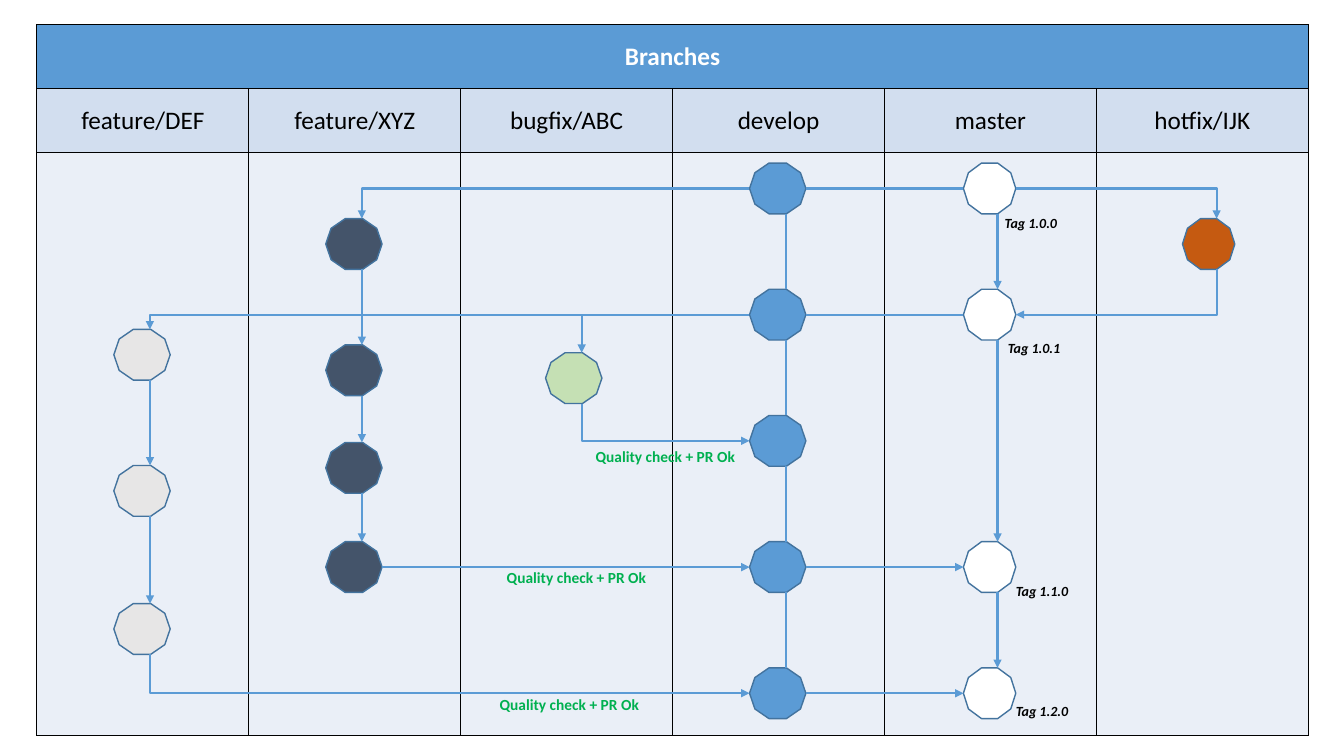
from dataclasses import dataclass
from itertools import pairwise
from typing import Any

from pptx import Presentation
from pptx.dml.color import RGBColor as Rgb
from pptx.enum.shapes import MSO_CONNECTOR as Conn, MSO_SHAPE as Form
from pptx.enum.text import MSO_ANCHOR as Anchor, MSO_AUTO_SIZE as Auto, PP_ALIGN as Align
from pptx.oxml import parse_xml
from pptx.oxml.ns import nsdecls, qn
from pptx.util import Cm, Pt

BLUE = "5B9BD5"
EDGE = "43739E"
COL = 5.34    # column width
TALL = 1.28   # node height
OFF = 0.2     # trunk line, right of the node centre
ROWS = [4.75 + 3.18 * i for i in range(5)]


@dataclass
class Branch:
    name: str
    color: str
    ys: list[float]
    wide: float = 1.42
    shift: float = 0
    arrow: bool = True
    x: float = 0

    @property
    def left(self) -> float:
        return self.x - self.wide / 2

    @property
    def right(self) -> float:
        return self.x + self.wide / 2

    @property
    def trunk(self) -> float:
        return self.x + OFF


@dataclass
class Link:
    x: float
    y: float
    to_x: float
    to_y: float
    head: str = "tailEnd"   # empty for a plain line
    kind: Any = Conn.STRAIGHT


@dataclass
class Label:
    text: str
    x: float
    y: float


QUALITY = {"size": Pt(11), "bold": True, "name": "Calibri"}
TAG = {"size": Pt(10), "bold": True, "italic": True, "name": "Calibri"}
HEAD = {"size": Pt(18), "bold": True, "name": "Calibri"}
NAME = {**HEAD, "bold": False}


def style(obj: Any, values: dict) -> None:
    for key, value in values.items():
        setattr(obj, key, value)


def paint(fill: Any, color: str) -> None:
    fill.solid()
    fill.fore_color.rgb = Rgb.from_string(color)


def write(frame: Any, text: str, font: dict, color: str, align: Any) -> None:
    para = frame.paragraphs[0]
    para.alignment = align
    run = para.add_run()
    run.text = text
    style(run.font, font)
    paint(run.font.fill, color)


def frame_cell(cell: Any, color: str) -> None:
    props = cell._tc.get_or_add_tcPr()
    for side in ("lnL", "lnR", "lnT", "lnB"):
        props.append(parse_xml(
            f'<a:{side} {nsdecls("a")} w="12700"><a:solidFill>'
            f'<a:srgbClr val="000000"/></a:solidFill></a:{side}>'))
    paint(cell.fill, color)
    cell.vertical_anchor = Anchor.MIDDLE


def draw_node(branch: Branch, y: float) -> None:
    node = shapes.add_shape(Form.DECAGON, Cm(branch.left), Cm(y - TALL / 2),
                            Cm(branch.wide), Cm(TALL))
    node.shadow.inherit = False
    paint(node.fill, branch.color)
    paint(node.line.fill, EDGE)
    node.line.width = Pt(1)


def draw_link(link: Link) -> None:
    line = shapes.add_connector(link.kind, Cm(link.x), Cm(link.y),
                                Cm(link.to_x), Cm(link.to_y))
    paint(line.line.fill, BLUE)
    line.line.width = Pt(1.5)
    props = line._element.spPr
    if link.kind == Conn.ELBOW:
        props.find(qn("a:prstGeom")).set("prst", "bentConnector2")
    if link.head:
        props.find(qn("a:ln")).append(
            parse_xml(f'<a:{link.head} {nsdecls("a")} type="triangle"/>'))
    props.append(parse_xml(f'<a:effectLst {nsdecls("a")}/>'))


def draw_label(label: Label, font: dict, color: str, wide: float, tall: float) -> None:
    box = shapes.add_textbox(Cm(label.x), Cm(label.y), Cm(wide), Cm(tall))
    style(box.text_frame, {"word_wrap": False, "auto_size": Auto.SHAPE_TO_FIT_TEXT})
    write(box.text_frame, label.text, font, color, Align.LEFT)


def leave(branch: Branch, y: float, to: Branch) -> Link:
    """Sideways from a node, then down to the first node of a branch."""
    start = branch.left if to.x < branch.x else branch.right
    return Link(start, y, to.trunk, to.ys[0] - TALL / 2, kind=Conn.ELBOW)


def rejoin(branch: Branch, to: Branch, y: float) -> Link:
    """Down from the last node of a branch, then sideways; drawn from its head."""
    end = to.left if branch.x < to.x else to.right
    return Link(end, y, branch.trunk, branch.ys[-1] + TALL / 2, "headEnd", Conn.ELBOW)


# Slide
deck = Presentation()
style(deck, {"slide_width": Cm(33.87), "slide_height": Cm(19.05)})
shapes = deck.slides.add_slide(deck.slide_layouts[6]).shapes

# Branches, left to right
side = Branch("feature/DEF", "E7E6E6", [8.94, 12.37, 15.85])
feat = Branch("feature/XYZ", "44546A", [6.15, 9.33, 11.79, ROWS[3]])
bug = Branch("bugfix/ABC", "C5E0B4", [9.53], shift=0.2)
dev = Branch("develop", BLUE, ROWS, arrow=False)
main = Branch("master", "FFFFFF", [ROWS[i] for i in (0, 1, 3, 4)], wide=1.32)
hot = Branch("hotfix/IJK", "C55A11", [6.15], wide=1.32, shift=0.18)
branches = [side, feat, bug, dev, main, hot]
for i, branch in enumerate(branches):
    branch.x = 3.58 + i * COL + branch.shift

# Table
table = shapes.add_table(3, len(branches), Cm(0.93), Cm(0.62),
                         Cm(COL * len(branches)), Cm(17.92)).table
style(table, {"first_row": False, "horz_banding": False})
for row, tall, color in zip(table.rows, (1.62, 1.6, 14.7), (BLUE, "D2DEEF", "EAEFF7")):
    row.height = Cm(tall)
    for cell in row.cells:
        frame_cell(cell, color)
for i, branch in enumerate(branches):
    table.columns[i].width = Cm(COL)
    write(table.cell(1, i).text_frame, branch.name, NAME, "000000", Align.CENTER)
table.cell(0, 0).merge(table.cell(0, len(branches) - 1))
write(table.cell(0, 0).text_frame, "Branches", HEAD, "FFFFFF", Align.CENTER)

# Nodes and the trunk of each branch
for branch in branches:
    for y in branch.ys:
        draw_node(branch, y)
    for y, below in pairwise(branch.ys):
        draw_link(Link(branch.trunk, y + TALL / 2, branch.trunk, below - TALL / 2,
                       "tailEnd" if branch.arrow else ""))

# Links between branches
links = [
    leave(dev, ROWS[0], feat), leave(dev, ROWS[1], bug), leave(dev, ROWS[1], side),
    leave(main, ROWS[0], hot),
    rejoin(bug, dev, ROWS[2]), rejoin(side, dev, ROWS[4]), rejoin(hot, main, ROWS[1]),
    Link(feat.right, ROWS[3], dev.left, ROWS[3]),
]
links += [Link(dev.right, y, main.left, y, "tailEnd" if y > ROWS[2] else "")
          for y in main.ys]
for link in links:
    draw_link(link)

# Labels
for x, y in ((14.76, 11.13), (12.52, 14.2), (12.34, 17.4)):
    draw_label(Label("Quality check + PR Ok", x, y), QUALITY, "00B050", 4.06, 0.74)
for tag in (Label("Tag 1.0.0", 25.07, 5.28), Label("Tag 1.0.1", 25.15, 8.43),
            Label("Tag 1.1.0", 25.35, 14.55), Label("Tag 1.2.0", 25.35, 17.58)):
    draw_label(tag, TAG, "000000", 1.88, 0.69)

deck.save("out.pptx")
